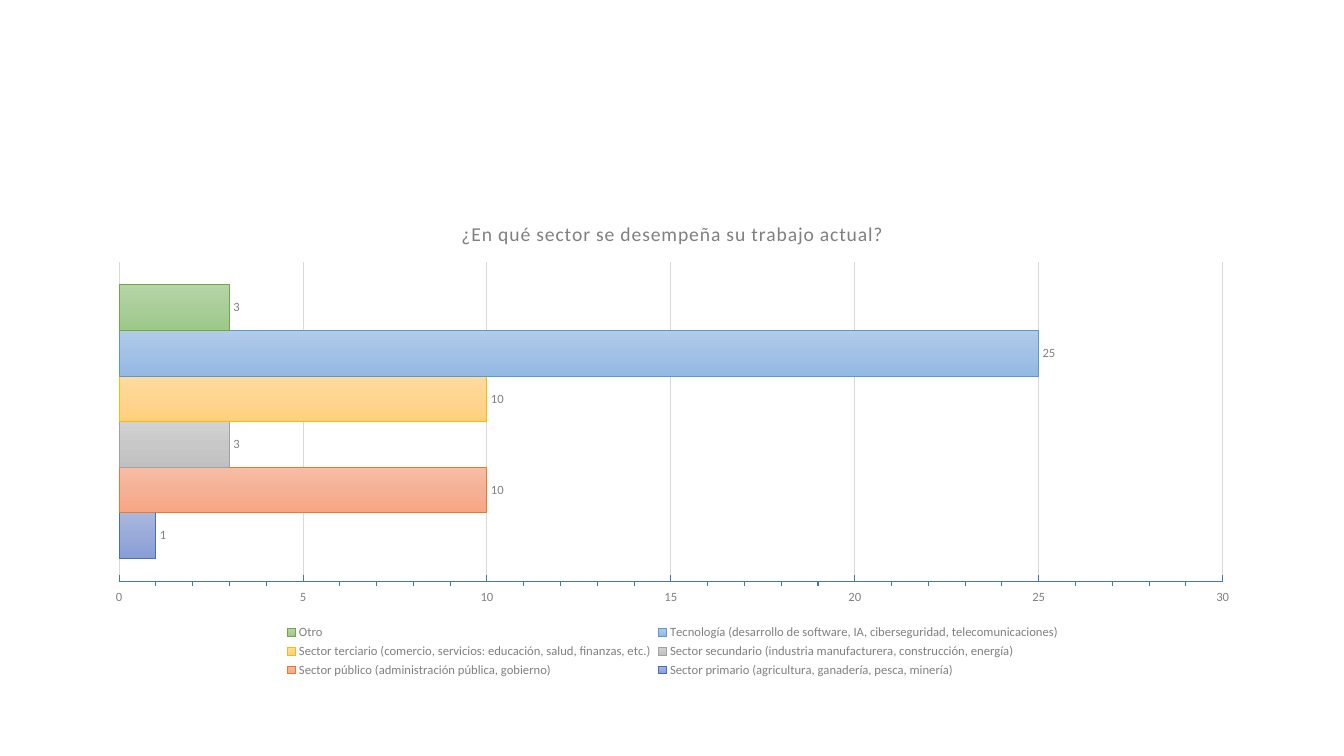
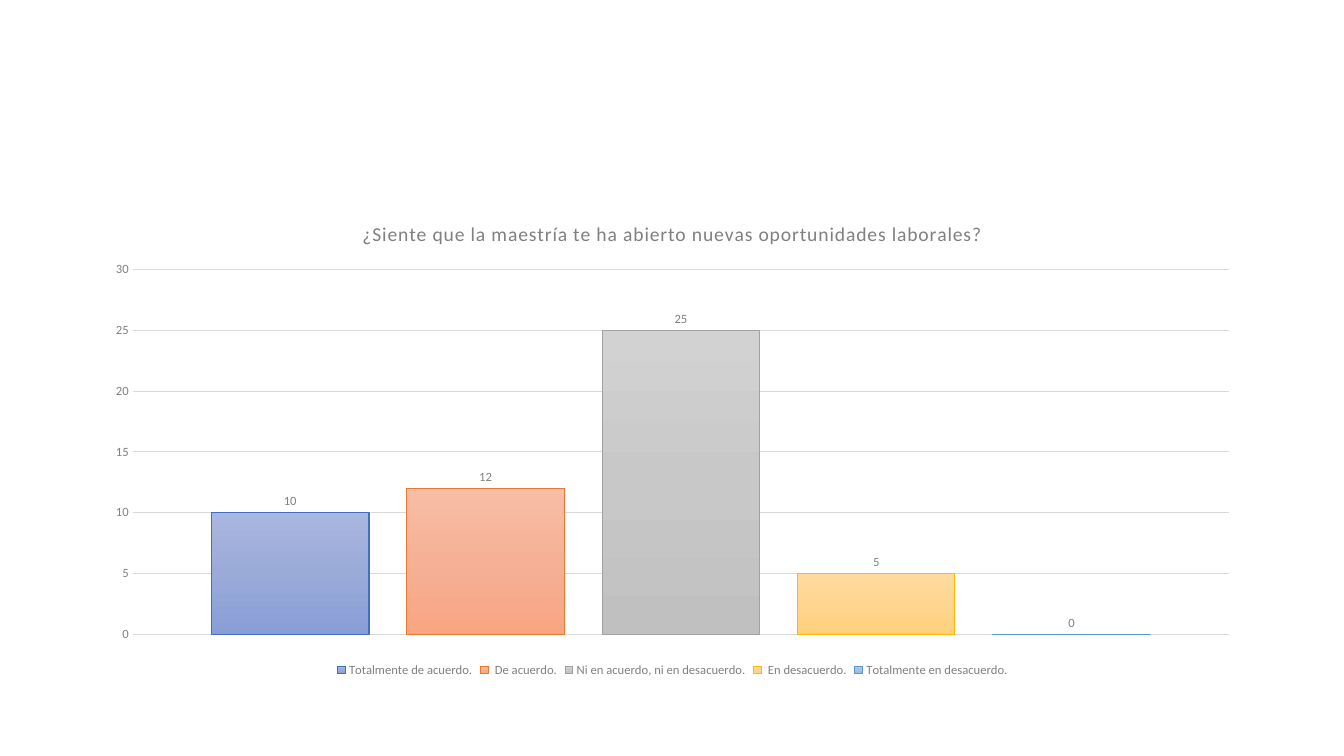
import copy

import pptx
import pptx.chart.data
import pptx.dml.color
import pptx.enum.chart
import pptx.oxml.ns
import pptx.util

Inches = pptx.util.Inches
Pt = pptx.util.Pt
ChartType = pptx.enum.chart.XL_CHART_TYPE
TickMark = pptx.enum.chart.XL_TICK_MARK

FONT = "Calibri"
BLACK, GREY, GRID, AXIS_BLUE = "000000", "808080", "D9D9D9", "4472C4"
HAIRLINE = Pt(0.75)

# Each answer tone: outline, then gradient from top to bottom.
INDIGO = ("436FC0", ("A8B7DF", "9AABD9", "889ED7"))
ORANGE = ("E87A30", ("F7BDA5", "F5B196", "F8A582"))
SILVER = ("A1A1A1", ("D2D2D2", "C8C8C8", "C0C0C0"))
GOLD = ("F9BC00", ("FFDB9E", "FFD590", "FFD07C"))
SKY = ("5998D0", ("B1CBE9", "A3C1E5", "93B9E4"))
GREEN = ("6EA945", ("B5D5A7", "AACE9A", "9CC987"))
TONES = (INDIGO, ORANGE, SILVER, GOLD, SKY, GREEN)

SECTORS = {
    "Sector primario (agricultura, ganadería, pesca, minería)": 1,
    "Sector público (administración pública, gobierno)": 10,
    "Sector secundario (industria manufacturera, construcción, energía)": 3,
    "Sector terciario (comercio, servicios: educación, salud, finanzas, etc.)": 10,
    "Tecnología (desarrollo de software, IA, ciberseguridad, telecomunicaciones)": 25,
    "Otro": 3,
}
OPPORTUNITIES = {
    "Totalmente de acuerdo.": 10,
    " De acuerdo.": 12,
    "Ni en acuerdo, ni en desacuerdo.": 25,
    " En desacuerdo.": 5,
    "Totalmente en desacuerdo.": 0,
}


def rgb(color):
    return pptx.dml.color.RGBColor.from_string(color)


class SurveyDeck:
    """Presentation style together with the slide being built."""

    def __init__(self):
        self.presentation = pptx.Presentation()
        self.presentation.slide_width = Inches(13.33)
        self.presentation.slide_height = Inches(7.5)
        self.slide = None

    def add_slide(self):
        blank = self.presentation.slide_layouts[6]
        self.slide = self.presentation.slides.add_slide(blank)

    def style_font(self, font, size=9, color=GREY):
        font.name = FONT
        font.size = Pt(size)
        font.bold = False
        font.color.rgb = rgb(color)

    def style_line(self, line, color):
        line.color.rgb = rgb(color)
        line.width = HAIRLINE

    def add_question_chart(self, question, answers, kind, overlap=0):
        """Add a chart with one series per answer and return it."""
        survey = pptx.chart.data.ChartData()
        survey.categories = ["1"]
        for answer, count in answers.items():
            survey.add_series(answer, [count])
        chart = self.slide.shapes.add_chart(
            kind, Inches(0.92), Inches(2), Inches(11.5), Inches(4.76), survey
        ).chart
        self.style_font(chart.font, 10, BLACK)
        self.set_question(chart, question)
        self.set_legend(chart)
        self.set_axes(chart)
        plot = chart.plots[0]
        plot.gap_width = 100
        plot.overlap = overlap
        plot.vary_by_categories = False
        for series, tone in zip(plot.series, TONES):
            self.style_series(series, *tone)
        return chart

    def set_question(self, chart, question):
        chart.has_title = True
        heading = chart.chart_title.text_frame
        heading.text = question
        font = heading.paragraphs[0].font
        self.style_font(font, 14)
        # Letter spacing of half a point.
        properties = heading._txBody.find(".//" + pptx.oxml.ns.qn("a:defRPr"))
        properties.set("spc", "50")

    def set_legend(self, chart):
        chart.has_legend = True
        chart.legend.position = pptx.enum.chart.XL_LEGEND_POSITION.BOTTOM
        chart.legend.include_in_layout = False
        self.style_font(chart.legend.font)

    def set_axes(self, chart):
        chart.category_axis.visible = False
        counts = chart.value_axis
        counts.minimum_scale, counts.maximum_scale = 0, 30
        counts.major_unit = 5
        counts.major_tick_mark = counts.minor_tick_mark = TickMark.NONE
        counts.format.line.fill.background()
        counts.has_major_gridlines = True
        self.style_line(counts.major_gridlines.format.line, GRID)
        self.style_font(counts.tick_labels.font)

    def show_count_ruler(self, chart):
        counts = chart.value_axis
        counts.minor_unit = 1
        counts.major_tick_mark = TickMark.INSIDE
        counts.minor_tick_mark = TickMark.OUTSIDE
        self.style_line(counts.format.line, AXIS_BLUE)

    def style_series(self, series, outline, shades):
        fill = series.format.fill
        fill.gradient()
        fill.gradient_angle = 270
        stops = series._element.find(".//" + pptx.oxml.ns.qn("a:gsLst"))
        stops.append(copy.deepcopy(stops[-1]))
        for stop, position, shade in zip(fill.gradient_stops, (0, 0.5, 1), shades):
            stop.position = position
            stop.color.rgb = rgb(shade)
        self.style_line(series.format.line, outline)
        labels = series.data_labels
        labels.show_value = True
        labels.position = pptx.enum.chart.XL_LABEL_POSITION.OUTSIDE_END
        self.style_font(labels.font)


def main():
    deck = SurveyDeck()

    deck.add_slide()
    sectors = deck.add_question_chart(
        "¿En qué sector se desempeña su trabajo actual?",
        SECTORS, ChartType.BAR_CLUSTERED)
    deck.show_count_ruler(sectors)

    deck.add_slide()
    deck.add_question_chart(
        "¿Siente que la maestría te ha abierto nuevas oportunidades laborales?",
        OPPORTUNITIES, ChartType.COLUMN_CLUSTERED, overlap=-24)

    deck.presentation.save("out.pptx")


if __name__ == "__main__":
    main()
